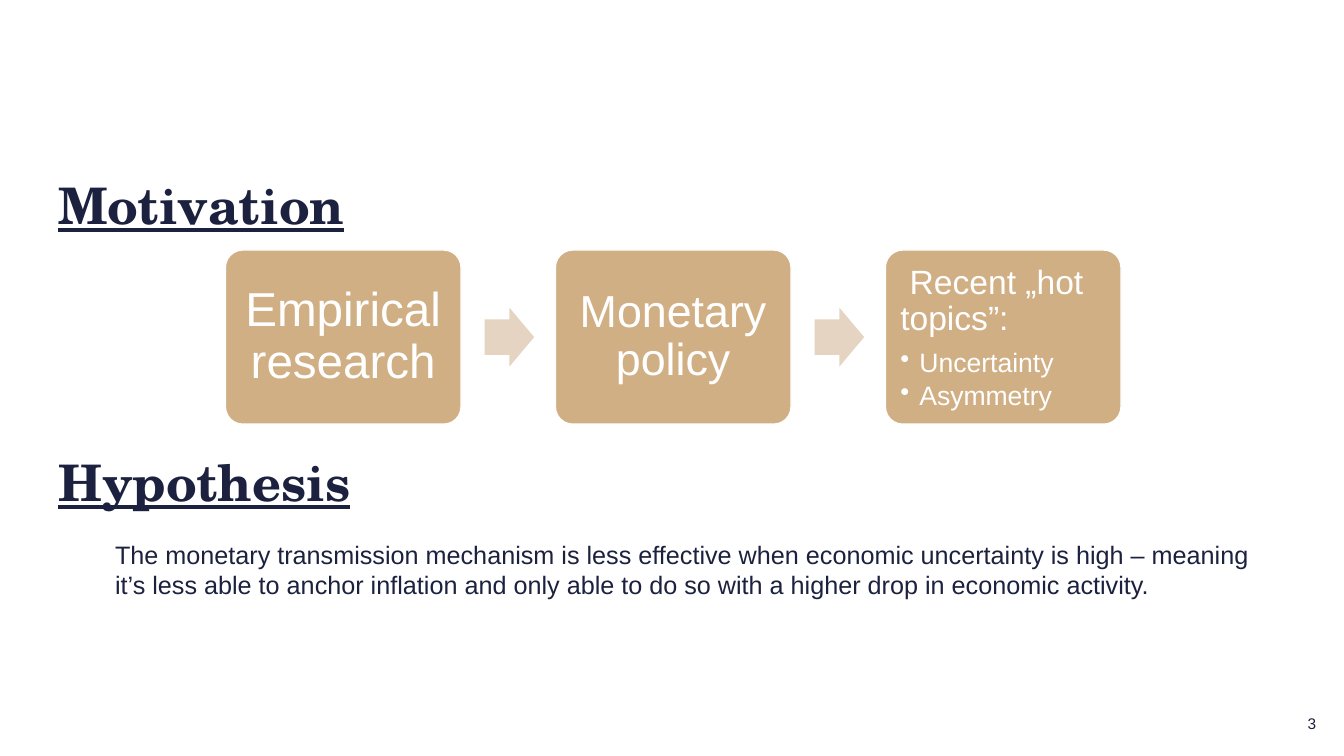
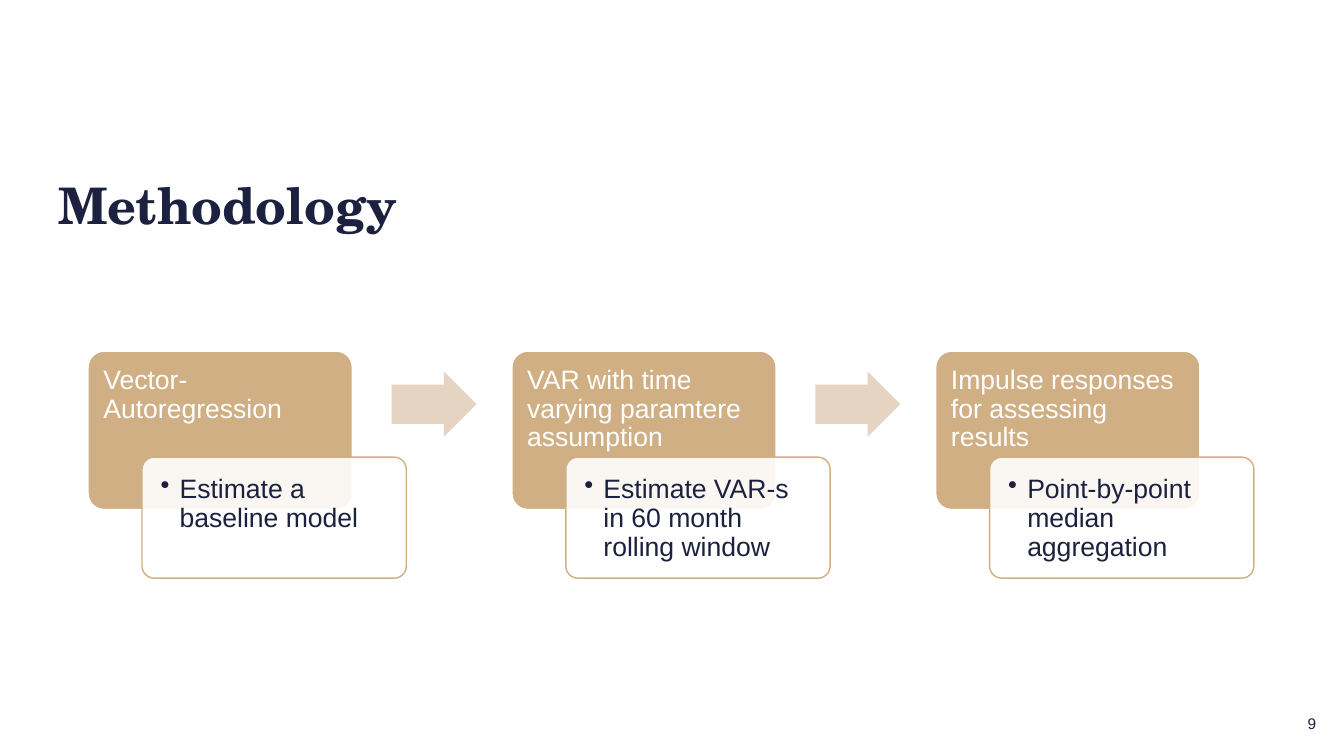
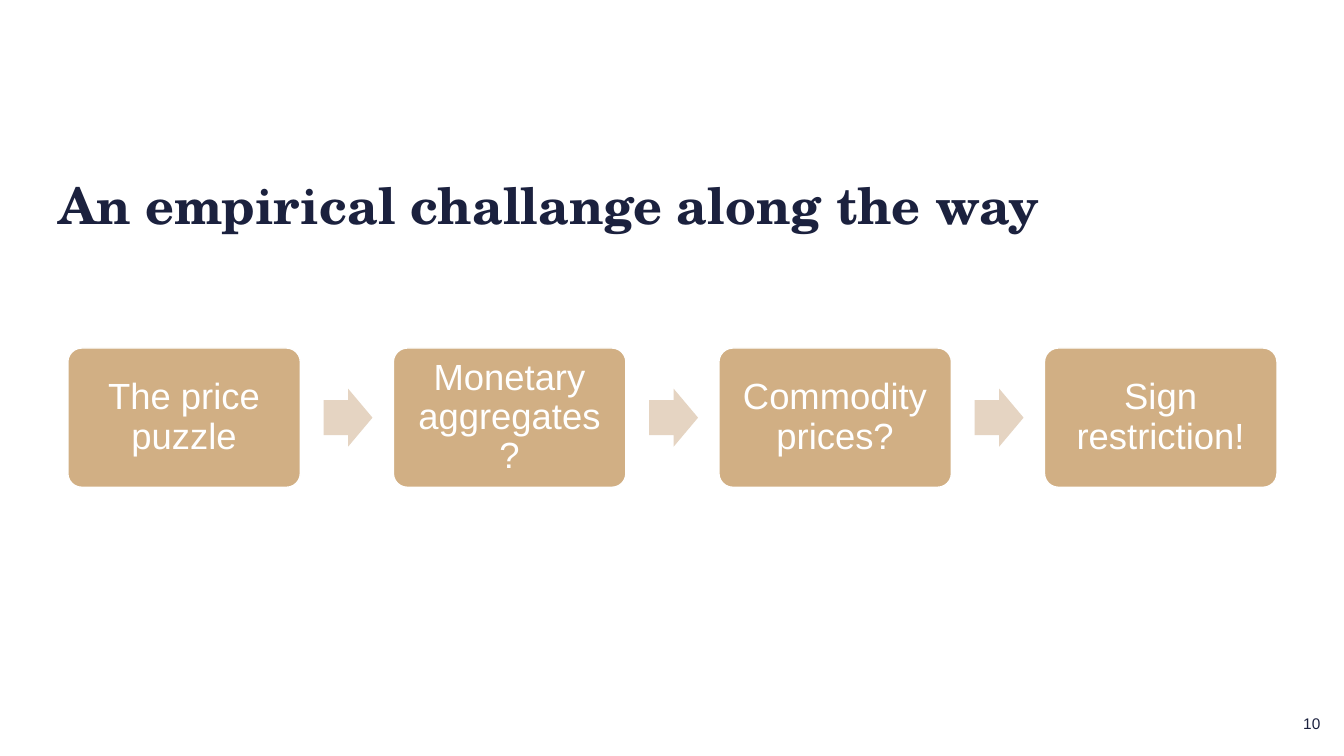
"""Build three slides on monetary policy research with process diagrams."""
from lxml import etree
from pptx import Presentation
from pptx.dml.color import RGBColor
from pptx.enum.shapes import MSO_SHAPE
from pptx.enum.text import MSO_ANCHOR, PP_ALIGN
from pptx.oxml.ns import qn
from pptx.util import Cm, Pt

ROUNDED, ARROW, RECTANGLE = MSO_SHAPE.ROUNDED_RECTANGLE, MSO_SHAPE.RIGHT_ARROW, MSO_SHAPE.RECTANGLE
TOP, MIDDLE = MSO_ANCHOR.TOP, MSO_ANCHOR.MIDDLE
LEFT, CENTER = PP_ALIGN.LEFT, PP_ALIGN.CENTER

NAVY, SAND, PALE, WHITE = "1B213E", "D1AF84", "E5D4C2", "FFFFFF"
HEADING_FONT, BODY_FONT = "TeX Gyre Schola", "Arial"
MARGIN, TITLE_TOP, TITLE_WIDTH, TITLE_HEIGHT = 1.47, 4.4, 30.81, 1.93
BULLET_INDENT = 0.48

RESEARCH_STEPS = [
    {"text": "Empirical research", "size": 34, "inset": 0.36},
    {"text": "Monetary policy", "size": 32, "inset": 0.33},
    {"text": " Recent „hot topics”:", "size": 24, "inset": 0.25,
     "bullets": ["Uncertainty", "Asymmetry"]},
]
HYPOTHESIS = (
    "The monetary transmission mechanism is less effective when economic uncertainty is high "
    "– meaning it’s less able to anchor inflation and only able to do so with a higher drop "
    "in economic activity."
)
METHOD_STEPS = [
    ("Vector-Autoregression", "Estimate a baseline model"),
    ("VAR with time varying paramtere assumption", "Estimate VAR-s in 60 month rolling window"),
    ("Impulse responses for assessing results", "Point-by-point median aggregation"),
]
CHALLENGE_STEPS = [
    {"text": text, "size": 26, "inset": 0.28}
    for text in ("The price puzzle", "Monetary aggregates?", "Commodity prices?", "Sign restriction!")
]


def color(value):
    """Turn a hex string into a colour."""
    return RGBColor.from_string(value)


def add_text(shape, text, size=18, ink=NAVY, font=BODY_FONT, bold=False, underline=False,
             align=LEFT, anchor=TOP, inset=0, spacing=None, after=0, bullet=False, more=False):
    """Write one formatted paragraph, following existing text if more is set."""
    frame = shape.text_frame
    frame.word_wrap = True
    frame.vertical_anchor = anchor
    frame.margin_left = frame.margin_right = frame.margin_top = frame.margin_bottom = Cm(inset)
    para = frame.add_paragraph() if more else frame.paragraphs[0]
    para.alignment = align
    para.space_after = Pt(after)
    if spacing:
        para.line_spacing = spacing
    if bullet:
        properties = para._p.get_or_add_pPr()
        properties.set("marL", str(Cm(BULLET_INDENT)))
        properties.set("indent", str(-Cm(BULLET_INDENT)))
        etree.SubElement(properties, qn("a:buChar"), char="•")
    span = para.add_run()
    span.text = text
    span.font.name, span.font.size = font, Pt(size)
    span.font.bold, span.font.underline = bold, underline
    span.font.color.rgb = color(ink)


def add_box(page, kind, left, top, width, height, fill, line=None, adjustments=()):
    """Add a flat filled shape."""
    box = page.shapes.add_shape(kind, Cm(left), Cm(top), Cm(width), Cm(height))
    box.shadow.inherit = False
    box.fill.solid()
    box.fill.fore_color.rgb = color(fill)
    if line:
        box.line.color.rgb = color(line)
        box.line.width = Pt(1)
    else:
        box.line.fill.background()
    for index, value in enumerate(adjustments):
        box.adjustments[index] = value
    return box


def add_card(page, left, top, width, height, fill=SAND, line=WHITE):
    """Add a rounded card."""
    return add_box(page, ROUNDED, left, top, width, height, fill, line, [0.1])


def add_arrow(page, left, middle, width, height):
    """Add a block arrow centred on a height."""
    add_box(page, ARROW, left, middle - height / 2, width, height, PALE, adjustments=[0.6, 0.5])


def add_textbox(page, text, left, top, width, height, **style):
    """Add a text box with one paragraph."""
    box = page.shapes.add_textbox(Cm(left), Cm(top), Cm(width), Cm(height))
    add_text(box, text, **style)


def add_heading(page, text, top=TITLE_TOP, underline=False):
    """Add a heading in the shared title style."""
    add_textbox(page, text, MARGIN, top, TITLE_WIDTH, TITLE_HEIGHT, size=36,
                font=HEADING_FONT, bold=True, underline=underline)


def add_page(deck, number):
    """Add a blank page with its number."""
    page = deck.slides.add_slide(deck.slide_layouts[6])
    box = add_box(page, RECTANGLE, 32.49, 17.65, 1.14, 1.17, WHITE)
    add_text(box, str(number), size=11, align=CENTER, anchor=MIDDLE)
    return page


def add_process(page, steps, left, top, width, height):
    """Add a row of cards joined by block arrows."""
    for index, step in enumerate(steps):
        x = left + index * 1.4 * width
        bullets = step.get("bullets", [])
        style = {"ink": WHITE, "inset": step["inset"], "spacing": 0.9}
        card = add_card(page, x, top, width, height)
        add_text(card, step["text"], size=step["size"], align=LEFT if bullets else CENTER,
                 anchor=TOP if bullets else MIDDLE, after=8.4 if bullets else 0, **style)
        for bullet in bullets:
            add_text(card, bullet, size=19, after=3, bullet=True, more=True, **style)
        if index < len(steps) - 1:
            add_arrow(page, x + 1.1 * width, top + height / 2, 0.21 * width, 0.25 * width)


def add_method(page, steps, left, top, width, pitch):
    """Add a row of cards, each overlapped by a detail card."""
    drop = 2.67
    for index, (name, detail) in enumerate(steps):
        x = left + index * pitch
        card = add_card(page, x, top, width, 3.99)
        add_text(card, name, size=19, ink=WHITE, inset=0.27, spacing=0.9)
        note = add_card(page, x + 1.36, top + drop, width, 3.05, WHITE, SAND)
        fill_color = note.fill._xPr.find(qn("a:solidFill"))[0]
        etree.SubElement(fill_color, qn("a:alpha"), val="90000")
        add_text(note, detail, size=19, inset=0.38, spacing=0.9, bullet=True)
        if index < len(steps) - 1:
            add_arrow(page, x + 7.65, top + drop / 2, 2.14, 1.65)


def main():
    """Build and save the deck."""
    deck = Presentation()
    deck.slide_width, deck.slide_height = Cm(33.87), Cm(19.05)

    page = add_page(deck, 3)
    add_heading(page, "Motivation", underline=True)
    add_process(page, RESEARCH_STEPS, 5.68, 6.3, 5.94, 4.39)
    add_heading(page, "Hypothesis", top=11.38, underline=True)
    add_textbox(page, HYPOTHESIS, 2.9, 13.59, 29.39, 3.84)

    page = add_page(deck, 9)
    add_method(page, METHOD_STEPS, 2.22, 8.85, 6.66, 10.68)
    add_heading(page, "Methodology")

    page = add_page(deck, 10)
    add_heading(page, "An empirical challange along the way")
    add_process(page, CHALLENGE_STEPS, 1.71, 8.77, 5.86, 3.51)

    deck.save("out.pptx")


if __name__ == "__main__":
    main()
